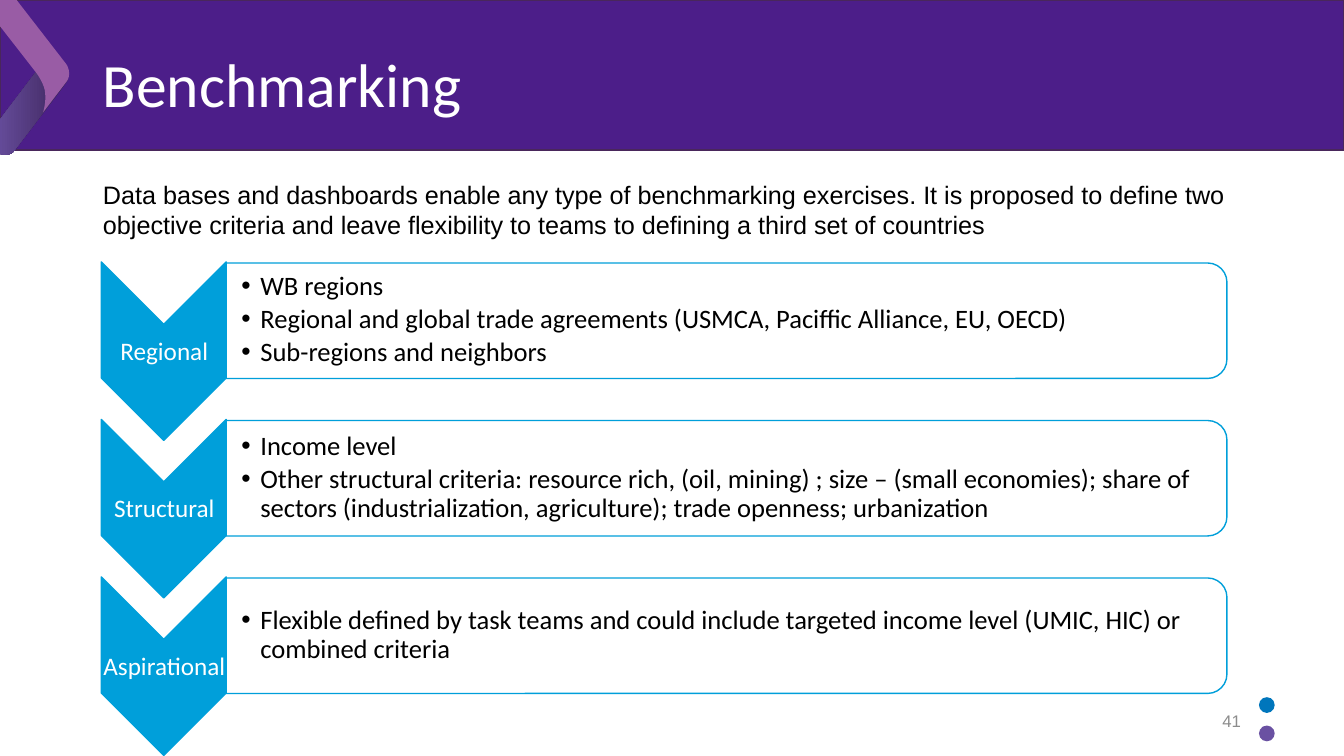
from dataclasses import dataclass

from lxml import etree
from pptx import Presentation
from pptx.dml.color import RGBColor
from pptx.enum.shapes import MSO_SHAPE
from pptx.enum.text import MSO_ANCHOR, PP_ALIGN
from pptx.oxml.ns import qn
from pptx.util import Pt

PX = 9525
CURVE_STEPS = 8

RECT = MSO_SHAPE.RECTANGLE
OVAL = MSO_SHAPE.OVAL
CHEVRON = MSO_SHAPE.CHEVRON
PANEL = MSO_SHAPE.ROUND_2_SAME_RECTANGLE
TOP, MIDDLE = MSO_ANCHOR.TOP, MSO_ANCHOR.MIDDLE
LEFT, CENTER, RIGHT = PP_ALIGN.LEFT, PP_ALIGN.CENTER, PP_ALIGN.RIGHT

WHITE = RGBColor(0xFF, 0xFF, 0xFF)
BLACK = RGBColor(0x00, 0x00, 0x00)
GRAY = RGBColor(0x8C, 0x8C, 0x8C)
PURPLE = RGBColor(0x4C, 0x1E, 0x89)
PLUM = RGBColor(0x49, 0x27, 0x5B)
ORCHID = RGBColor(0x99, 0x5C, 0xA5)
DARK_VIOLET = RGBColor(0x3D, 0x24, 0x5B)
VIOLET = RGBColor(0x6A, 0x51, 0xA2)
BLUE = RGBColor(0x00, 0x76, 0xBC)
CYAN = RGBColor(0x00, 0x9F, 0xDA)

Box = tuple[int, int, int, int]
Outline = list[tuple[int, ...]]

LOWER_ARM: Outline = [
    (14, 143), (63, 79), (67, 74, 66, 66, 60, 62), (58, 60),
    (53, 56, 45, 57, 40, 61), (-9, 126), (-12, 131, -12, 138, -6, 143),
    (-3, 145), (3, 149, 11, 148, 14, 143),
]
UPPER_ARM: Outline = [
    (35, 70), (-7, 16), (-12, 10, -11, 1, -5, -4), (2, -9, 11, -7, 15, -1),
    (63, 61), (66, 65, 67, 72, 64, 77), (41, 107),
    (41, 107, 44, 98, 43, 89), (43, 81, 35, 70, 35, 70),
]


@dataclass
class Criterion:
    label: str
    points: list[str]


CRITERIA = [
    Criterion("Regional", [
        "WB regions",
        "Regional and global trade agreements (USMCA, Paciffic Alliance, EU, OECD)",
        "Sub-regions and neighbors",
    ]),
    Criterion("Structural", [
        "Income level",
        "Other structural criteria: resource rich, (oil, mining) ; size – (small economies); "
        "share of sectors (industrialization, agriculture); trade openness; urbanization",
    ]),
    Criterion("Aspirational", [
        "Flexible defined by task teams and could include targeted income level (UMIC, HIC) "
        "or combined criteria",
    ]),
]
ROW_PITCH = 150


def add_text(slide, box: Box, lines: list[str], *, size: int, color: RGBColor,
             font: str = "Calibri", align=LEFT, anchor=MIDDLE, spacing: float = 1.0,
             insets: Box = (10, 5, 10, 5), bullet_indent: int = 0, after: int = 0) -> None:
    tf = slide.shapes.add_textbox(*(v * PX for v in box)).text_frame
    tf.word_wrap = True
    tf.vertical_anchor = anchor
    tf.margin_left, tf.margin_top, tf.margin_right, tf.margin_bottom = (v * PX for v in insets)
    for i, line in enumerate(lines):
        p = tf.add_paragraph() if i else tf.paragraphs[0]
        p.alignment = align
        p.line_spacing = spacing
        p.space_after = Pt(after)
        if bullet_indent:
            pPr = p._p.get_or_add_pPr()
            pPr.set("marL", str(bullet_indent * PX))
            pPr.set("indent", str(-bullet_indent * PX))
            etree.SubElement(pPr, qn("a:buFont")).set("typeface", "Arial")
            etree.SubElement(pPr, qn("a:buChar")).set("char", "•")
        r = p.add_run()
        r.text = line
        r.font.name = font
        r.font.size = Pt(size)
        r.font.color.rgb = color


def paint(sp, fill: RGBColor, line: RGBColor | None = None) -> None:
    sp.shadow.inherit = False
    sp.fill.solid()
    sp.fill.fore_color.rgb = fill
    if line is None:
        sp.line.fill.background()
    else:
        sp.line.color.rgb = line
        sp.line.width = Pt(1)


def add_preset(slide, kind, box: Box, fill: RGBColor, line: RGBColor | None = None,
               rotation: int = 0) -> None:
    sp = slide.shapes.add_shape(kind, *(v * PX for v in box))
    sp.rotation = rotation
    paint(sp, fill, line)


def flatten(outline: Outline) -> list[tuple[float, float]]:
    points = [outline[0]]
    for segment in outline[1:]:
        if len(segment) == 2:
            points.append(segment)
            continue
        x0, y0 = points[-1]
        x1, y1, x2, y2, x3, y3 = segment
        for step in range(1, CURVE_STEPS + 1):
            t = step / CURVE_STEPS
            a, b, c, d = (1 - t) ** 3, 3 * t * (1 - t) ** 2, 3 * t * t * (1 - t), t ** 3
            points.append((a * x0 + b * x1 + c * x2 + d * x3,
                           a * y0 + b * y1 + c * y2 + d * y3))
    return points


def add_outline(slide, outline: Outline, fill: RGBColor):
    points = [(round(x * PX), round(y * PX)) for x, y in flatten(outline)]
    builder = slide.shapes.build_freeform(*points[0])
    builder.add_line_segments(points[1:], close=True)
    sp = builder.convert_to_shape()
    paint(sp, fill)
    return sp


def add_header(slide) -> None:
    add_preset(slide, RECT, (0, 0, 1280, 143), PURPLE, PLUM)
    lower_arm = add_outline(slide, LOWER_ARM, VIOLET)
    lower_arm.fill.gradient()
    lower_arm.fill.gradient_angle = 180
    for stop, color in zip(lower_arm.fill.gradient_stops, (DARK_VIOLET, VIOLET)):
        stop.color.rgb = color
    add_outline(slide, UPPER_ARM, ORCHID)
    add_text(slide, (88, 23, 1104, 120), ["Benchmarking"], size=44, color=WHITE, spacing=0.9)


def add_footer(slide) -> None:
    for top, color in ((664, BLUE), (691, VIOLET)):
        add_preset(slide, OVAL, (1199, top, 15, 15), color)
    add_text(slide, (904, 667, 288, 38), ["41"], size=12, color=GRAY, font="Arial", align=RIGHT)


def add_criterion(slide, criterion: Criterion, offset: int) -> None:
    add_preset(slide, CHEVRON, (71, 275 + offset, 170, 119), CYAN, CYAN, rotation=90)
    add_text(slide, (97, 310 + offset, 119, 51), [criterion.label], size=18, color=WHITE,
             align=CENTER, spacing=0.9, insets=(1, 1, 1, 1))
    add_preset(slide, PANEL, (637, -171 + offset, 110, 953), WHITE, CYAN, rotation=90)
    add_text(slide, (216, 255 + offset, 948, 100), criterion.points, size=19, color=BLACK,
             spacing=0.9, insets=(14, 1, 1, 1), bullet_indent=18, after=3)


def main() -> None:
    prs = Presentation()
    prs.slide_width, prs.slide_height = 1280 * PX, 720 * PX
    slide = prs.slides.add_slide(prs.slide_layouts[6])
    add_header(slide)
    add_footer(slide)
    for i, criterion in enumerate(CRITERIA):
        add_criterion(slide, criterion, i * ROW_PITCH)
    add_text(slide, (88, 166, 1114, 68), [
        "Data bases and dashboards enable any type of benchmarking exercises. It is proposed to "
        "define two objective criteria and leave flexibility to teams to defining a third set "
        "of countries",
    ], size=18, color=BLACK, font="Arial", anchor=TOP)
    prs.save("out.pptx")


if __name__ == "__main__":
    main()
